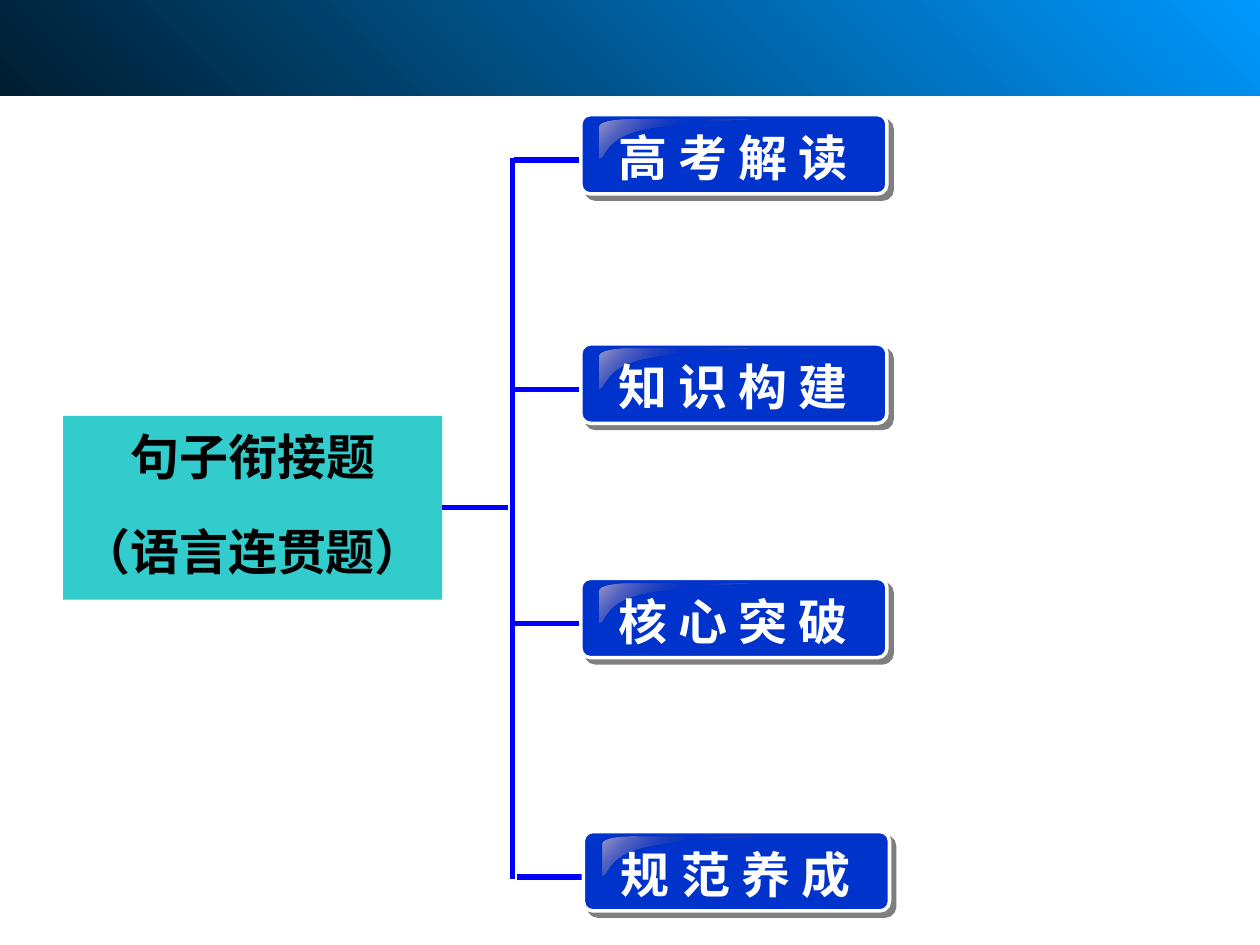
"""Build a topic map that branches from one question type to four sections."""
from dataclasses import dataclass

from lxml import etree
from pptx import Presentation
from pptx.dml.color import RGBColor
from pptx.enum.shapes import MSO_CONNECTOR, MSO_SHAPE
from pptx.enum.text import MSO_ANCHOR, PP_ALIGN
from pptx.oxml import parse_xml
from pptx.oxml.ns import nsdecls, qn
from pptx.util import Inches, Pt

STRAIGHT = MSO_CONNECTOR.STRAIGHT
RECTANGLE = MSO_SHAPE.RECTANGLE
ROUNDED = MSO_SHAPE.ROUNDED_RECTANGLE
TOP, MIDDLE = MSO_ANCHOR.TOP, MSO_ANCHOR.MIDDLE
CENTER = PP_ALIGN.CENTER

TEAL = RGBColor(0x33, 0xCC, 0xCC)
BLACK = RGBColor(0x00, 0x00, 0x00)
WHITE = RGBColor(0xFF, 0xFF, 0xFF)
LINE_BLUE = RGBColor(0x00, 0x00, 0xFF)
BUTTON_BLUE = RGBColor(0x00, 0x33, 0xCC)
SKY = RGBColor(0x00, 0x99, 0xFF)
NIGHT = RGBColor(0x00, 0x1D, 0x30)
GLOSS = RGBColor(0x9B, 0x9B, 0xCC)
INDIGO = RGBColor(0x33, 0x33, 0x99)

FONT = "Times New Roman"
FONT_SIZE = Pt(28)
SPINE_X = 4.07
GLOSS_START = (0.39, 0.04)
GLOSS_POINTS = (
    (0.26, 0.04), (0.15, 0.06), (0.15, 0.10),
    (0.15, 0.35),
    (0.21, 0.35), (0.18, 0.20), (0.48, 0.13),
    (0.78, 0.06), (1.36, 0.05), (1.35, 0.04),
)
GLOSS_CURVE_STARTS = (0, 4, 7)


@dataclass(frozen=True)
class Section:
    title: str
    top: float
    left: float = 4.61


@dataclass(frozen=True)
class Stop:
    position: int
    color: RGBColor
    alpha: int = 100


SECTIONS = (
    Section("高 考 解 读", 0.91),
    Section("知 识 构 建", 2.73),
    Section("核 心 突 破", 4.59),
    Section("规 范 养 成", 6.6, 4.63),
)


def apply_gradient(shape, angle: int, stops: tuple[Stop, ...]) -> None:
    """Fill a borderless shape with a linear gradient."""
    shape.shadow.inherit = False
    shape.line.fill.background()
    stop_xml = "".join(
        f'<a:gs pos="{stop.position * 1000}"><a:srgbClr val="{stop.color}">'
        f'<a:alpha val="{stop.alpha * 1000}"/></a:srgbClr></a:gs>'
        for stop in stops
    )
    gradient = parse_xml(
        f'<a:gradFill {nsdecls("a")} rotWithShape="1"><a:gsLst>{stop_xml}</a:gsLst>'
        f'<a:lin ang="{angle * 60000}" scaled="0"/></a:gradFill>'
    )
    shape.element.spPr.insert(2, gradient)


def style_runs(paragraph, color: RGBColor) -> None:
    """Give every run the slide's bold lettering."""
    for run in paragraph.runs:
        run.font.name = FONT
        run.font.size = FONT_SIZE
        run.font.bold = True
        run.font.color.rgb = color


def add_line(slide, x1: float, y1: float, x2: float, y2: float):
    """Draw one blue line of the bracket."""
    line = slide.shapes.add_connector(
        STRAIGHT, Inches(x1), Inches(y1), Inches(x2), Inches(y2)
    )
    line.line.color.rgb = LINE_BLUE
    line.line.width = Pt(3)
    etree.SubElement(line.element.spPr, qn("a:effectLst"))
    return line


def add_banner(slide) -> None:
    """Draw the band along the top edge."""
    banner = slide.shapes.add_shape(
        RECTANGLE, Inches(0), Inches(-0.11), Inches(10), Inches(0.87)
    )
    apply_gradient(banner, 135, (Stop(0, SKY), Stop(100, NIGHT)))


def add_topic(slide):
    """Draw the box that names the question type."""
    topic = slide.shapes.add_shape(
        RECTANGLE, Inches(0.5), Inches(3.3), Inches(3.01), Inches(1.46)
    )
    topic.shadow.inherit = False
    topic.fill.solid()
    topic.fill.fore_color.rgb = TEAL
    topic.line.fill.background()
    frame = topic.text_frame
    frame.word_wrap = True
    frame.vertical_anchor = TOP
    frame.margin_top, frame.margin_bottom = Inches(0.04), Inches(0.16)
    frame.text = "句子衔接题\n（语言连贯题）"
    for paragraph in frame.paragraphs:
        paragraph.alignment = CENTER
        paragraph.line_spacing = 1.1
        style_runs(paragraph, BLACK)
    frame.paragraphs[1].space_before = Pt(17.5)
    return topic


def add_gloss(slide, section: Section) -> None:
    """Draw the curved highlight in a button's upper left corner."""
    def place(point: tuple[float, float]) -> tuple[int, int]:
        return Inches(section.left + point[0]), Inches(section.top + point[1])

    builder = slide.shapes.build_freeform(*place(GLOSS_START))
    builder.add_line_segments([place(point) for point in GLOSS_POINTS], close=True)
    gloss = builder.convert_to_shape()
    segments = list(gloss.element.spPr.iter(qn("a:lnTo")))
    for start in GLOSS_CURVE_STARTS:
        curve = etree.Element(qn("a:cubicBezTo"))
        segments[start].addprevious(curve)
        for segment in segments[start:start + 3]:
            curve.append(segment[0])
            segment.getparent().remove(segment)
    apply_gradient(gloss, 225, (Stop(0, GLOSS), Stop(50, INDIGO, 0), Stop(100, GLOSS)))


def add_section(slide, section: Section) -> None:
    """Draw a branch with its button, highlight and title."""
    left, top = section.left, section.top
    branch_y = top + 0.36
    add_line(slide, left - 0.53, branch_y, left, branch_y)
    button = slide.shapes.add_shape(
        ROUNDED, Inches(left), Inches(top), Inches(2.43), Inches(0.63)
    )
    button.adjustments[0] = 0.12
    button.fill.solid()
    button.fill.fore_color.rgb = BUTTON_BLUE
    button.line.color.rgb = WHITE
    button.line.width = Pt(2)
    button.shadow.inherit = False
    button.element.spPr.find(qn("a:effectLst")).append(parse_xml(
        f'<a:outerShdw {nsdecls("a")} dist="{Pt(4.2)}" dir="2700000" algn="ctr" '
        f'rotWithShape="0"><a:srgbClr val="{BLACK}"><a:alpha val="50000"/>'
        "</a:srgbClr></a:outerShdw>"
    ))
    add_gloss(slide, section)
    title = slide.shapes.add_textbox(
        Inches(left + 0.2), Inches(top + 0.05), Inches(4.11), Inches(0.57)
    )
    frame = title.text_frame
    frame.word_wrap = True
    frame.vertical_anchor = MIDDLE
    frame.text = section.title
    style_runs(frame.paragraphs[0], WHITE)


def main() -> None:
    """Assemble and save the slide."""
    deck = Presentation()
    deck.slide_width, deck.slide_height = Inches(10), Inches(7.5)
    slide = deck.slides.add_slide(deck.slide_layouts[6])
    topic = add_topic(slide)
    add_banner(slide)
    stem = add_line(slide, 3.51, 4.03, 4.03, 4.03)
    stem.begin_connect(topic, 3)
    add_line(slide, SPINE_X, 1.25, SPINE_X, 6.98)
    for section in SECTIONS:
        add_section(slide, section)
    deck.save("out.pptx")


if __name__ == "__main__":
    main()
